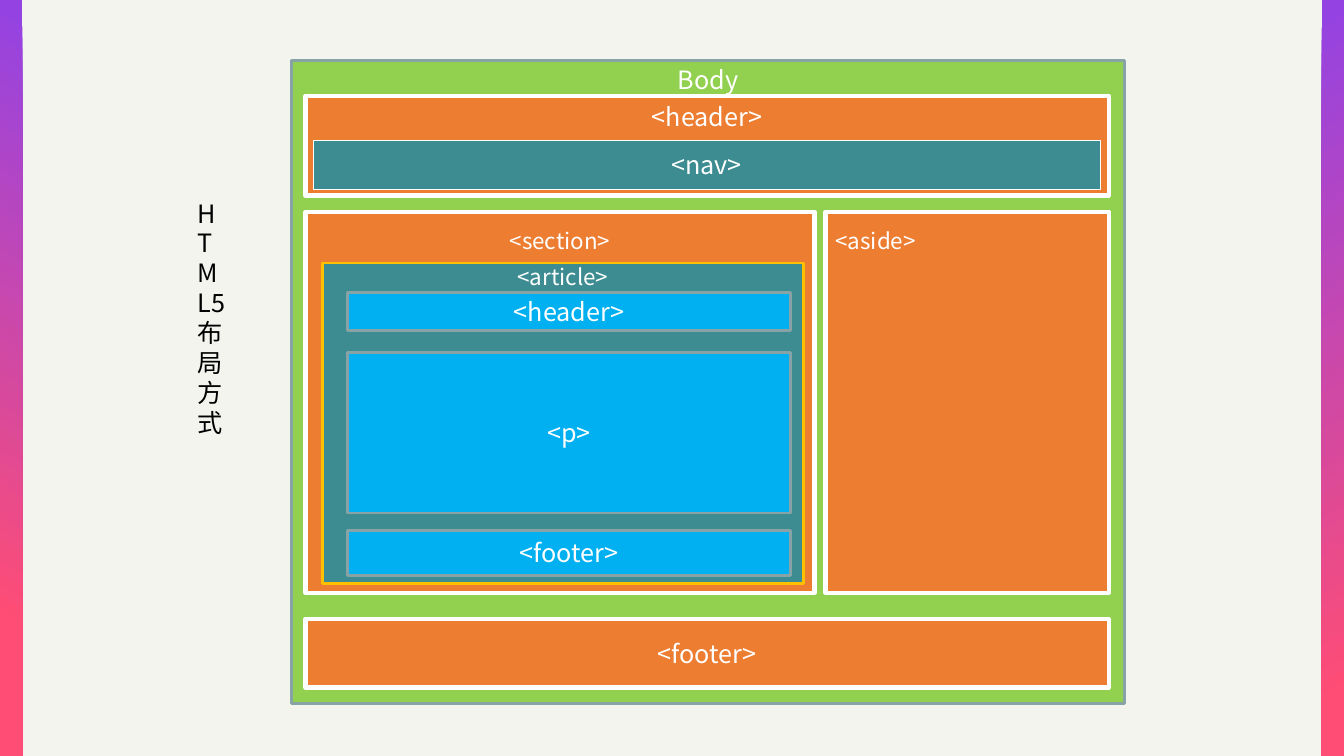
import pptx
import pptx.util
import pptx.dml.color
import pptx.enum.shapes
import pptx.enum.text
import pptx.oxml
import pptx.oxml.ns

Pt = pptx.util.Pt
ALIGN = pptx.enum.text.PP_ALIGN
ANCHOR = pptx.enum.text.MSO_ANCHOR

# Content
FONT = "Noto Sans CJK SC"
LINE_HEIGHT = 1.19
SLIDE_WIDTH, SLIDE_HEIGHT, BAND_WIDTH = 960, 540, 16
PAPER, WHITE, BLACK = "F3F4EE", "FFFFFF", "000000"
PURPLE, PINK = "9443E2", "FF4D75"
TITLE = "HTML5布局方式"

# Box styles: fill, line colour, line width
PAGE = ("92D050", "88A3A6", 2)
REGION = ("ED7D31", WHITE, 3)
NAVIGATION = ("3C8C92", WHITE, 0.25)
ARTICLE = ("3C8C92", "FFC000", 2)
PART = ("00B0F0", "88A3A6", 2)

# Shared edges of the layout: left, width
FULL = (218.2, 573.8)
INNER = (248.4, 316.1)

# Label, style, (left, width), top, height, text size, gap above label (None = middle)
BOXES = [
    ("Body", PAGE, (208.1, 595.4), 43.2, 459.4, 18, 3.2),
    ("<header>", REGION, FULL, 68.4, 71.3, 18, 3.8),
    ("<nav>", NAVIGATION, (223.6, 562.3), 100.1, 35.3, 18, None),
    ("<section>", REGION, (218.2, 363.6), 151.2, 272.2, 16, 11.4),
    ("<footer>", REGION, FULL, 442.1, 49, 18, None),
    ("<aside>", REGION, (589.7, 202.3), 151.2, 272.2, 16, 11.4),
    ("<article>", ARTICLE, (230.4, 343.4), 187.9, 229, 16, 0),
    ("<header>", PART, INNER, 208.8, 27.4, 18, None),
    ("<p>", PART, INNER, 252, 114.5, 18, None),
    ("<footer>", PART, INNER, 378.7, 32.4, 18, None),
]
LEFT_ALIGNED = {"<aside>"}

# Side bands: left, angle, end of the gradient
BANDS = [(0, 240, 0.82), (SLIDE_WIDTH - BAND_WIDTH, 300, 0.92)]


def colour(value):
    return pptx.dml.color.RGBColor.from_string(value)


def write(shape, text, size, text_colour, align, gap):
    frame = shape.text_frame
    frame.text = text
    frame.word_wrap = True
    frame.vertical_anchor = ANCHOR.MIDDLE if gap is None else ANCHOR.TOP
    if gap is not None:
        frame.margin_top = Pt(gap)
    paragraph = frame.paragraphs[0]
    paragraph.alignment = align
    paragraph.line_spacing = Pt(round(size * LINE_HEIGHT, 1))
    font = paragraph.runs[0].font
    font.size, font.name = Pt(size), FONT
    font.color.rgb = colour(text_colour)
    east_asian = pptx.oxml.parse_xml(
        f'<a:ea {pptx.oxml.ns.nsdecls("a")} typeface="{FONT}"/>')
    paragraph.runs[0]._r.rPr.find(pptx.oxml.ns.qn("a:latin")).addnext(east_asian)


def add_rectangle(left, top, width, height):
    shape = slide.shapes.add_shape(
        pptx.enum.shapes.MSO_SHAPE.RECTANGLE, Pt(left), Pt(top), Pt(width), Pt(height))
    shape.shadow.inherit = False
    return shape


presentation = pptx.Presentation()
presentation.slide_width, presentation.slide_height = Pt(SLIDE_WIDTH), Pt(SLIDE_HEIGHT)
slide = presentation.slides.add_slide(presentation.slide_layouts[6])
slide.background.fill.solid()
slide.background.fill.fore_color.rgb = colour(PAPER)

# Gradient bands on both sides
for left, angle, end in BANDS:
    band = add_rectangle(left, 0, BAND_WIDTH, SLIDE_HEIGHT)
    band.line.fill.background()
    band.fill.gradient()
    band.fill.gradient_angle = angle
    for stop, position, value in zip(band.fill.gradient_stops, (0.02, end), (PURPLE, PINK)):
        stop.position = position
        stop.color.rgb = colour(value)

# Nested page layout
for label, (fill, line, line_width), (left, width), top, height, size, gap in BOXES:
    box = add_rectangle(left, top, width, height)
    box.fill.solid()
    box.fill.fore_color.rgb = colour(fill)
    box.line.color.rgb = colour(line)
    box.line.width = Pt(line_width)
    align = ALIGN.LEFT if label in LEFT_ALIGNED else ALIGN.CENTER
    write(box, label, size, WHITE, align, gap)

# Title in a narrow column
title = slide.shapes.add_textbox(Pt(133.9), Pt(137.5), Pt(36.7), Pt(181.4))
write(title, TITLE, 18, BLACK, ALIGN.LEFT, 4)

presentation.save("out.pptx")
